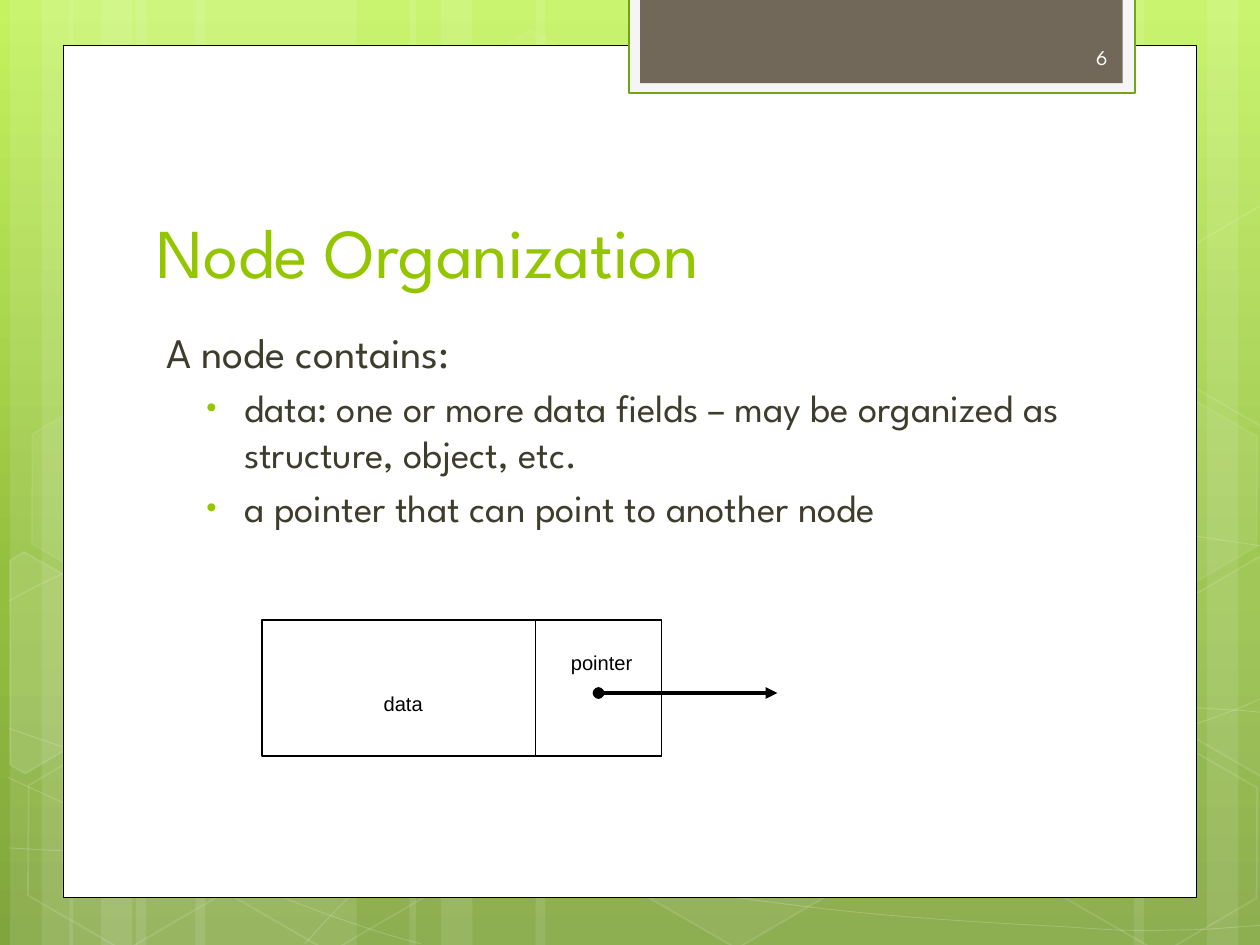
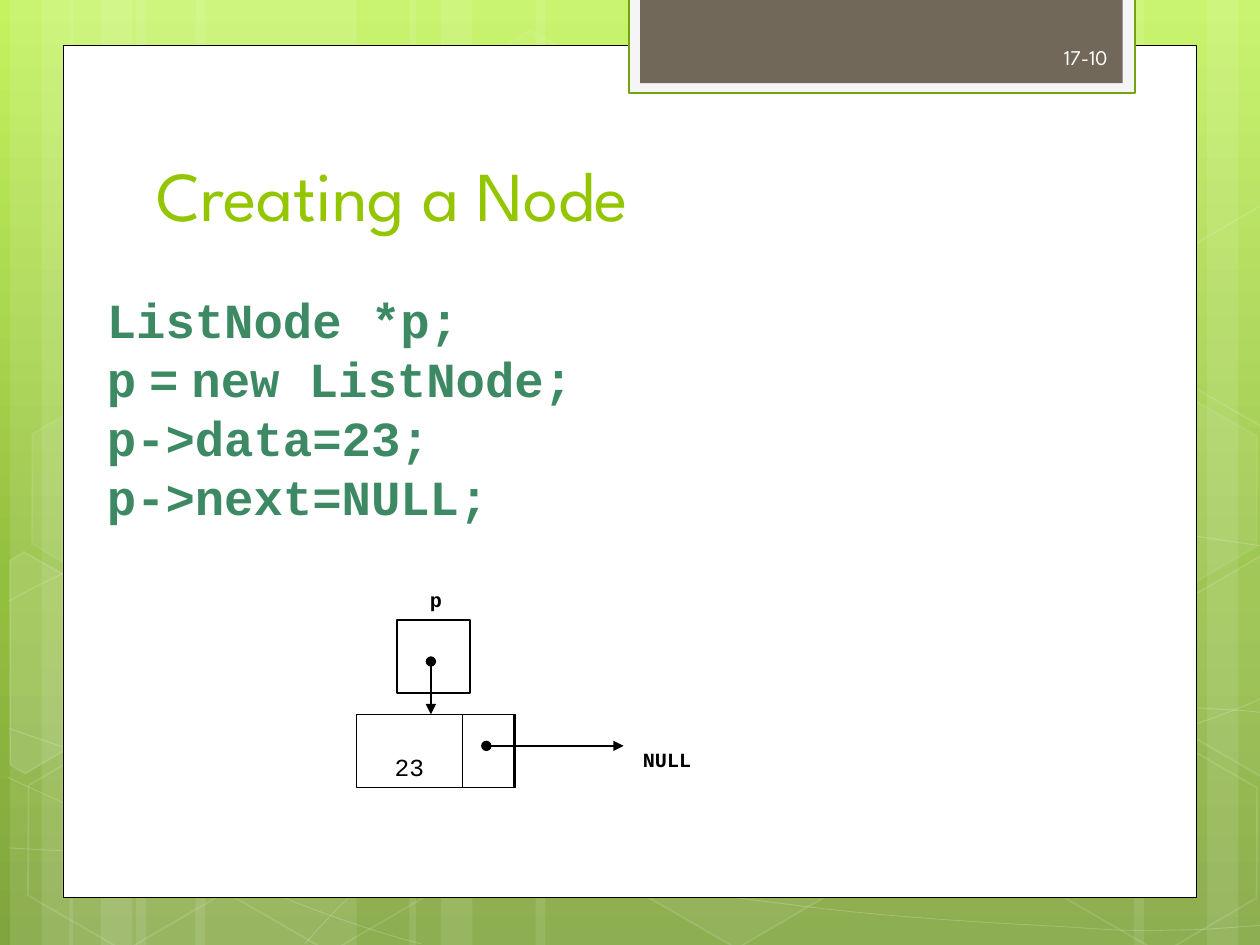
"""Build two slides on linked-list nodes over a shared green hexagon backdrop."""
from copy import deepcopy

from lxml import etree
from pptx import Presentation
from pptx.dml.color import RGBColor
from pptx.enum.shapes import MSO_CONNECTOR, MSO_SHAPE
from pptx.enum.text import MSO_ANCHOR, PP_ALIGN
from pptx.oxml.ns import qn
from pptx.util import Inches, Pt

RECTANGLE, HEXAGON = MSO_SHAPE.RECTANGLE, MSO_SHAPE.HEXAGON
STRAIGHT = MSO_CONNECTOR.STRAIGHT
TOP, MIDDLE, BOTTOM = MSO_ANCHOR.TOP, MSO_ANCHOR.MIDDLE, MSO_ANCHOR.BOTTOM
LEFT, CENTER, RIGHT = PP_ALIGN.LEFT, PP_ALIGN.CENTER, PP_ALIGN.RIGHT

WHITE = RGBColor(0xFF, 0xFF, 0xFF)
BLACK = RGBColor(0x00, 0x00, 0x00)
LIME = RGBColor(0x94, 0xC6, 0x00)
INK = RGBColor(0x3E, 0x3D, 0x2D)
CODE_GREEN = RGBColor(0x3D, 0x89, 0x63)
TAB_FRAME = RGBColor(0xF5, 0xF5, 0xF5)
TAB_EDGE = RGBColor(0x74, 0xA5, 0x10)
TAB_FILL = RGBColor(0x71, 0x68, 0x5A)
NUMBER_INK = RGBColor(0xFE, 0xFE, 0xFE)
GRADIENT = [
    (0, RGBColor(0xC3, 0xF3, 0x5F)),
    (0.62, RGBColor(0x93, 0xBF, 0x3F)),
    (1, RGBColor(0x81, 0xA5, 0x3E)),
]
SPARTAN, ARIAL, COURIER = "League Spartan", "Arial", "Courier New"

STRIPES = [
    (1.08, 1.75), (0.08, 0.5), (0.33, 0.83), (1.55, 1.75), (0.55, 0.5), (0.8, 0.83),
    (7.33, 1.75), (9.58, 0.5), (9, 0.83), (4.25, 3.08), (3.25, 0.5), (3.5, 0.83),
]
CURVES = [
    [(0.07, 6.73), (0.61, 6.76), (1.15, 6.79), (1.9, 6.78), (2.65, 6.77), (3.58, 6.75),
     (4.58, 6.65), (5.58, 6.55), (7, 6.36), (7.92, 6.17), (8.83, 5.98), (9.77, 5.68),
     (10.07, 5.51)],
    [(0.07, 4.77), (0.36, 4.61), (0.65, 4.46), (1.21, 4.31), (1.78, 4.16), (2.59, 3.94),
     (3.47, 3.87), (4.36, 3.8), (5.44, 3.79), (6.54, 3.87), (7.64, 3.95), (9.47, 4.26),
     (10.07, 4.34)],
    [(0.06, 6.17), (1.27, 6.72), (2.47, 7.27), (3.34, 7.49)],
    [(0.07, 5.78), (0.38, 5.89), (0.7, 6), (1.28, 6.16), (1.86, 6.31), (2.73, 6.56),
     (3.57, 6.73), (4.4, 6.9), (5.45, 7.08), (6.28, 7.18), (7.11, 7.29), (8, 7.33),
     (8.53, 7.36), (9.05, 7.4), (9.19, 7.38), (9.45, 7.38), (9.71, 7.37), (9.89, 7.35),
     (10.07, 7.34)],
    [(2.42, 7.49), (2.6, 7.29), (2.78, 7.09), (3.02, 6.91), (3.26, 6.73), (3.6, 6.53),
     (3.88, 6.39), (4.16, 6.25), (4.33, 6.19), (4.7, 6.09), (5.06, 5.99), (5.73, 5.85),
     (6.08, 5.78), (6.44, 5.71), (6.49, 5.71), (6.8, 5.69), (7.11, 5.66), (7.6, 5.63),
     (7.94, 5.62), (8.29, 5.61), (8.86, 5.62), (8.86, 5.62), (8.86, 5.62), (9.53, 5.62),
     (9.53, 5.62), (9.71, 5.63), (9.88, 5.64), (9.97, 5.65), (10.06, 5.66), (10.03, 5.65),
     (10.06, 5.66)],
]
HEXAGONS = [
    (3.34, 0.36, 4, 8), (4.97, 5.89, 6, 12), (0.11, 5.91, None, 12),
    (0.14, 3.12, 7, 8), (1.74, 5.92, None, 12), (7.53, 4.53, 10, 12),
    (8.34, 5.93, None, 12), (8.34, 3.14, 7, 8),
]
CUT_HEXAGONS = [
    ([(0.08, 4.45), (0.19, 4.38), (0.96, 4.82), (0.95, 5.7), (0.2, 6.14), (0.08, 6.07)], 10),
    ([(9.26, 4.85), (10.01, 4.41), (10.09, 4.46), (10.09, 6.13), (10.02, 6.17), (9.26, 5.73)], 4),
    ([(9.26, 2.07), (10.01, 1.63), (10.1, 1.68), (10.09, 3.35), (10.02, 3.39), (9.26, 2.95)], None),
]
OUTLINES = [(knots, True, None, 0.5, 20) for knots in CURVES]
OUTLINES += [(corners, False, fill_alpha, 1, 12) for corners, fill_alpha in CUT_HEXAGONS]

PAGES = [
    {
        "title": "Node Organization", "title_height": 1.25, "number": "6",
        "cells": [(2.08, 4.92, 3.17, 1.08), (4.25, 4.92, 1, 1.08)],
        "labels": [("data", (2.83, 5.25, 0.74, 0.43), 11.5, ARIAL, False),
                   ("pointer", (4.25, 4.92, 1.05, 0.43), 11.5, ARIAL, False)],
        "arrows": [(4.75, 5.5, 6.17, 5.5)], "arrow_width": 2.25,
    },
    {
        "title": "Creating a Node", "title_height": 0.8, "number": "17-10",
        "cells": [(3.15, 4.92, 0.58, 0.58), (3.67, 5.67, 0.42, 0.58), (2.83, 5.67, 1.25, 0.58)],
        "labels": [("NULL", (4.86, 5.62, 0.87, 0.5), 11.5, COURIER, True),
                   ("23", (2.95, 5.7, 0.6, 0.5), 14, COURIER, False),
                   ("p", (3.17, 4.42, 0.58, 0.43), 11.5, COURIER, True)],
        "arrows": [(3.42, 5.25, 3.42, 5.67), (3.86, 5.92, 4.95, 5.92)], "arrow_width": 0.75,
    },
]


def paint(shape, fill=None, fill_alpha=100, line=None, width=1, line_alpha=100):
    shape.shadow.inherit = False
    if fill is None:
        shape.fill.background()
    else:
        shape.fill.solid()
        shape.fill.fore_color.rgb = fill
    if line is None:
        shape.line.fill.background()
    else:
        shape.line.color.rgb = line
        shape.line.width = Pt(width)
    properties = shape._element.spPr
    for parent, alpha in ((properties, fill_alpha), (properties.find(qn("a:ln")), line_alpha)):
        color = parent.find(qn("a:solidFill") + "/" + qn("a:srgbClr"))
        if color is not None and alpha < 100:
            etree.SubElement(color, qn("a:alpha"), val=str(alpha * 1000))


def add_text(page, at, lines, size, font, color, anchor=TOP, align=LEFT, bold=False):
    frame = page.shapes.add_textbox(*map(Inches, at)).text_frame
    frame.word_wrap = True
    frame.vertical_anchor = anchor
    for index, spans in enumerate(lines):
        para = frame.paragraphs[0] if index == 0 else frame.add_paragraph()
        para.alignment = align
        for text in spans:
            span = para.add_run()
            span.text = text
            span.font.size = Pt(size)
            span.font.name = SPARTAN if text == " " else font
            span.font.bold = bold
            span.font.color.rgb = color
    return frame


deck = Presentation()
deck.slide_width, deck.slide_height = Inches(10), Inches(7.5)

backdrop = deck.slide_master.background.fill
backdrop.gradient()
backdrop.gradient_angle = 270
stop_list = deck.slide_master._element.find(".//" + qn("a:gsLst"))
stop_list.insert(1, deepcopy(stop_list[0]))
for stop, (position, color) in zip(backdrop.gradient_stops, GRADIENT):
    stop.position = position
    stop.color.rgb = color

pages = []
for content in PAGES:
    page = deck.slides.add_slide(deck.slide_layouts[6])
    pages.append(page)

    for left, width in STRIPES:
        stripe = page.shapes.add_shape(RECTANGLE, Inches(left), 0, Inches(width), Inches(7.5))
        paint(stripe, WHITE, 10)

    for points, curved, fill_alpha, width, line_alpha in OUTLINES:
        start, *rest = [(Inches(x), Inches(y)) for x, y in points]
        builder = page.shapes.build_freeform(*start)
        builder.add_line_segments(rest, close=not curved)
        outline = builder.convert_to_shape()
        paint(outline, WHITE if fill_alpha else None, fill_alpha or 100, WHITE, width, line_alpha)
        segments = list(outline._element.iter(qn("a:lnTo"))) if curved else []
        for first in range(0, len(segments), 3):
            curve = etree.Element(qn("a:cubicBezTo"))
            segments[first].addprevious(curve)
            for segment in segments[first:first + 3]:
                curve.append(segment[0])
                segment.getparent().remove(segment)

    for left, top, fill_alpha, line_alpha in HEXAGONS:
        hexagon = page.shapes.add_shape(HEXAGON, *map(Inches, (left, top, 1.75, 1.52)))
        hexagon.adjustments[0] = 0.285
        hexagon.rotation = 30
        paint(hexagon, WHITE if fill_alpha else None, fill_alpha or 100, WHITE, 1, line_alpha)

    for at, fill, line, width in (
        ((0.5, 0.36, 9, 6.76), WHITE, BLACK, 0.5),
        ((4.99, -0.02, 4.02, 0.76), TAB_FRAME, TAB_EDGE, 1.25),
        ((5.08, -0.02, 3.83, 0.68), TAB_FILL, None, 0),
    ):
        panel = page.shapes.add_shape(RECTANGLE, *map(Inches, at))
        paint(panel, fill, line=line, width=width)

    add_text(page, (1.14, 1.12, 7.68, content["title_height"]), [[content["title"]]],
             40, SPARTAN, LIME, BOTTOM)
    add_text(page, (6.56, 0.25, 2.33, 0.4), [[content["number"]]],
             12, SPARTAN, NUMBER_INK, MIDDLE, RIGHT)

    for at in content["cells"]:
        cell = page.shapes.add_shape(RECTANGLE, *map(Inches, at))
        paint(cell, line=BLACK, width=0.75)

    for text, at, size, font, bold in content["labels"]:
        label = add_text(page, at, [[text]], size, font, BLACK, BOTTOM, CENTER, bold)
        label.margin_left = label.margin_right = label.margin_bottom = 0

    for ends in content["arrows"]:
        arrow = page.shapes.add_connector(STRAIGHT, *map(Inches, ends))
        arrow.line.color.rgb = BLACK
        arrow.line.width = Pt(content["arrow_width"])
        properties = arrow._element.spPr
        stroke = properties.find(qn("a:ln"))
        etree.SubElement(stroke, qn("a:headEnd"), type="oval")
        etree.SubElement(stroke, qn("a:tailEnd"), type="triangle")
        etree.SubElement(properties, qn("a:effectLst"))

node_parts = add_text(pages[0], (1.14, 2.54, 7.41, 3.84), [
    ["A node contains:"],
    ["data: one or more data fields – may be organized as structure, object, etc."],
    ["a pointer that can point to another node"],
], 22, SPARTAN, INK)
node_parts.paragraphs[0].runs[0].font.size = Pt(24)

code = add_text(pages[1], (0.67, 2.25, 8.5, 4.42), [
    ["ListNode *p;"],
    ["p", " ", "=", " ", "new ListNode;"],
    ["p->data=23;"],
    ["p->next=NULL;"],
], 28, COURIER, CODE_GREEN, bold=True)

for frame, gaps, bulleted in ((node_parts, (4.8, 4.4, 4.4), True), (code, (5.6, 0, 0, 0), False)):
    for index, (para, gap) in enumerate(zip(frame.paragraphs, gaps)):
        para.space_before = Pt(gap)
        has_bullet = bulleted and index > 0
        settings = para._p.get_or_add_pPr()
        settings.set("marL", str(Inches(0.7 if has_bullet else 0.38)))
        settings.set("indent", str(Inches(-0.3)))
        if has_bullet:
            bullet_color = etree.SubElement(settings, qn("a:buClr"))
            etree.SubElement(bullet_color, qn("a:srgbClr"), val=str(LIME))
            etree.SubElement(settings, qn("a:buSzPct"), val="76000")
            etree.SubElement(settings, qn("a:buFont"), typeface=ARIAL)
            etree.SubElement(settings, qn("a:buChar"), char="•")

deck.save("out.pptx")
